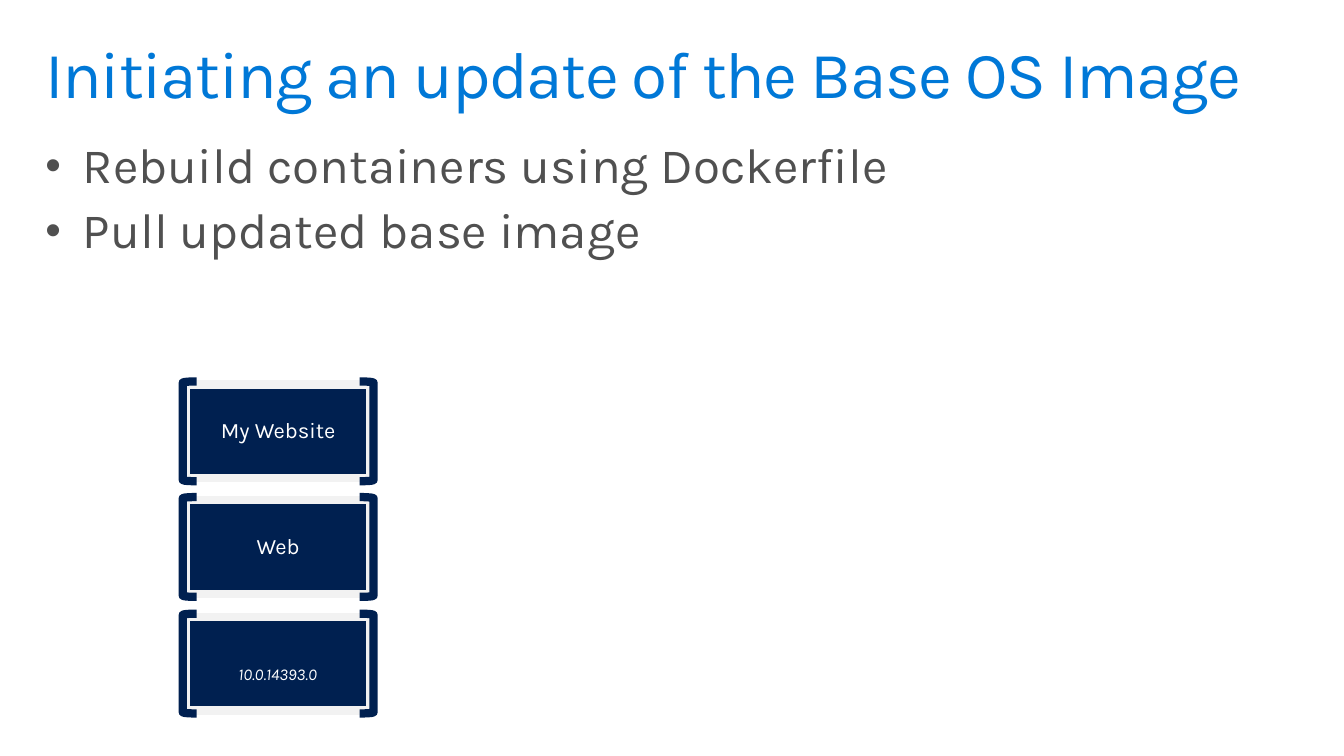
import pptx
import pptx.dml.color
import pptx.enum.shapes
import pptx.enum.text
import pptx.oxml.ns
import pptx.util
from lxml import etree

PX = 9144
COLORS = {"title": "0078D7", "body": "505050", "navy": "002050", "frame": "F2F2F2", "white": "FFFFFF"}
SHAPES = pptx.enum.shapes.MSO_SHAPE
ALIGN = pptx.enum.text.PP_ALIGN
ANCHOR = pptx.enum.text.MSO_ANCHOR


def px(value):
    """Turn a length in px into EMU."""
    return pptx.util.Emu(value * PX)


def color(name):
    """Look up a named colour."""
    return pptx.dml.color.RGBColor.from_string(COLORS[name])


def set_attributes(target, values):
    """Set each attribute in a dict of format values."""
    for name, value in values.items():
        setattr(target, name, value)


def write_paragraph(para, text, size, color_name, **formats):
    """Write one styled run into a paragraph."""
    set_attributes(para, {"line_spacing": 0.9, **formats})
    span = para.add_run()
    span.text = text
    set_attributes(span.font, {"name": "Karla", "size": pptx.util.Pt(size)})
    span.font.color.rgb = color(color_name)
    return span


def set_frame(shape, across, down, anchor):
    """Set the wrapping, margins and anchor of a text frame."""
    frame = shape.text_frame
    set_attributes(frame, {
        "word_wrap": True, "vertical_anchor": anchor,
        "margin_left": px(across), "margin_right": px(across),
        "margin_top": px(down), "margin_bottom": px(down),
    })
    return frame


def add_text_box(page, box, across, down):
    """Add an empty, top-anchored text box."""
    shape = page.shapes.add_textbox(*map(px, box))
    return set_frame(shape, across, down, ANCHOR.TOP)


def add_title(page, box, text):
    """Add the slide title."""
    frame = add_text_box(page, box, 16, 10)
    span = write_paragraph(frame.paragraphs[0], text, 48, "title")
    span.font._element.set("spc", "-100")


def add_bullets(page, box, items):
    """Add the bulleted list."""
    frame = add_text_box(page, box, 16, 10)
    for index, item in enumerate(items):
        para = frame.add_paragraph() if index else frame.paragraphs[0]
        properties = para._p.get_or_add_pPr()
        properties.set("marL", str(px(38)))
        properties.set("indent", str(px(-38)))
        for tag, name, value in (("a:buSzPct", "val", "90000"),
                                 ("a:buFont", "typeface", "Arial"),
                                 ("a:buChar", "char", "•")):
            etree.SubElement(properties, pptx.oxml.ns.qn(tag)).set(name, value)
        write_paragraph(para, item, 36, "body", space_before=pptx.util.Pt(8.4 if index else 0))


def add_outlined(page, kind, box, line):
    """Add a preset shape with a thick outline."""
    shape = page.shapes.add_shape(kind, *map(px, box))
    shape.shadow.inherit = False
    shape.fill.background()
    shape.line.color.rgb = color(line)
    shape.line.width = pptx.util.Pt(6)
    return shape


def add_layer(page, box, label, is_version):
    """Add one bracketed container layer with its label."""
    left, top, width, height = box
    block = add_outlined(page, SHAPES.RECTANGLE, (left + 3, top + 3, width - 6, height - 6), "frame")
    block.fill.solid()
    block.fill.fore_color.rgb = color("navy")
    for kind, edge in ((SHAPES.RIGHT_BRACKET, left + width - 14), (SHAPES.LEFT_BRACKET, left)):
        add_outlined(page, kind, (edge, top, 14, height), "navy")
    if is_version:
        frame = add_text_box(page, (left + 7, top + 44, width - 15, 43), 20, 16)
    else:
        frame = set_frame(block, 20, 16, ANCHOR.MIDDLE)
    span = write_paragraph(frame.paragraphs[0], label, 12 if is_version else 16, "white",
                           alignment=ALIGN.CENTER)
    if is_version:
        span.font.italic = True


def add_container_stack(page, box, labels):
    """Stack the container layers at an equal pitch, base layer at the back."""
    left, top, width, height = box
    layer_height = 101
    last = len(labels) - 1
    for index in reversed(range(len(labels))):
        layer_top = top + index * (height - layer_height) // last
        add_layer(page, (left, layer_top, width, layer_height), labels[index], index == last)


def main():
    """Build and save the deck."""
    deck = pptx.Presentation()
    set_attributes(deck, {"slide_width": px(1360), "slide_height": px(765)})
    page = deck.slides.add_slide(deck.slide_layouts[6])
    add_bullets(page, (30, 133, 1300, 221), ["Rebuild containers using Dockerfile", "Pull updated base image"])
    add_title(page, (30, 32, 1300, 100), "Initiating an update of the Base OS Image")
    add_container_stack(page, (185, 386, 193, 336), ["My Website", "Web", "10.0.14393.0"])
    deck.save("out.pptx")


if __name__ == "__main__":
    main()
